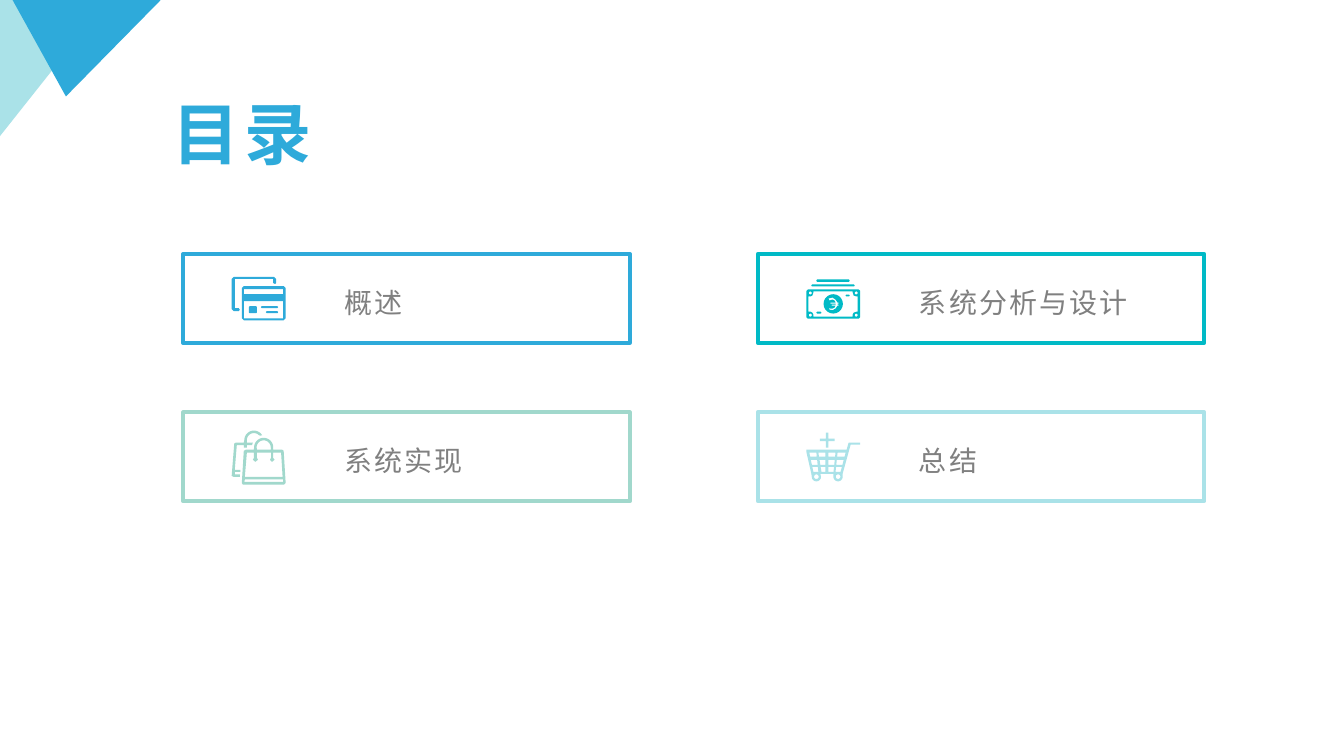
from dataclasses import dataclass
from math import cos, radians, sin

from lxml.etree import SubElement
from pptx import Presentation
from pptx.dml.color import RGBColor as Color
from pptx.enum.shapes import MSO_SHAPE as Preset
from pptx.enum.text import MSO_ANCHOR as Anchor
from pptx.oxml.ns import qn
from pptx.util import Cm, Pt

Point = tuple[float, float]
Contour = list[Point]


@dataclass(frozen=True)
class Theme:
    blue: str = "2EAADA"
    teal: str = "00BAC6"
    green: str = "A1D8CC"
    pale: str = "AAE2E8"
    grey: str = "808080"
    latin_title: str = "Arial"
    body_font: str = "Noto Sans CJK SC"
    title_size: int = 48
    label_size: int = 20
    border: int = 3


THEME = Theme()
ICON_UNIT = Cm(0.0254)
SUBDIVISION = 100  # freeform coordinates are whole numbers


@dataclass(frozen=True)
class Box:
    left: float
    top: float
    width: float
    height: float

    def lengths(self) -> tuple:
        return Cm(self.left), Cm(self.top), Cm(self.width), Cm(self.height)


@dataclass(frozen=True)
class Card:
    label: str
    color: str
    icon: list[Contour]
    icon_drop: float


@dataclass(frozen=True)
class TextStyle:
    font: str
    size: int
    color: str
    spacing: int
    bold: bool = False


def bar(left: float, top: float, right: float, bottom: float, cut: float = 0.8) -> Contour:
    """Rectangle with its corners cut a little, to look rounded."""
    return [(left + cut, top), (right - cut, top), (right, top + cut), (right, bottom - cut),
            (right - cut, bottom), (left + cut, bottom), (left, bottom - cut), (left, top + cut)]


def arc(x: float, y: float, radius: float, start: int = 0, end: int = 360) -> Contour:
    """Points on a circle, in degrees clockwise from the right."""
    steps = 20
    angles = [radians(start + (end - start) * step / steps) for step in range(steps + 1)]
    return [(x + radius * cos(angle), y + radius * sin(angle)) for angle in angles]


def basket_cells() -> list[Contour]:
    """Openings of the cart's basket, narrowing towards the bottom."""
    top, bottom = 20, 39
    columns = [((3, 10), (7, 12)), ((12, 19), (15, 19)), ((22, 29), (22, 27)), ((31, 39), (29, 34))]

    def across(upper: float, lower: float, y: float) -> Point:
        return upper + (lower - upper) * (y - top) / (bottom - top), y

    return [[across(upper[0], lower[0], start), across(upper[1], lower[1], start),
             across(upper[1], lower[1], end), across(upper[0], lower[0], end)]
            for start, end in ((20, 24), (27, 32), (34, 39)) for upper, lower in columns]


BANK_CARDS = [
    bar(10, 9, 53.5, 43, 2), bar(12, 24, 51, 41, 0), bar(12, 12, 51, 17, 0),
    bar(17, 29, 25, 36), bar(29, 29, 46, 31), bar(34, 34, 46, 36),
    [(2, 0), (42, 0), (44, 2), (44, 6), (43, 7), (41, 6), (41, 2), (3, 2), (3, 31), (7, 31),
     (8, 32.5), (7, 34), (2, 34), (0, 32), (0, 2)],
]
BANKNOTE = [
    bar(5, 5, 48, 7), bar(10, 0, 43, 2.5), bar(0, 10, 53.5, 39, 1.5),
    [(2, 32), (4, 32), (6, 33), (7, 35), (7, 37), (46, 37), (46, 35), (47, 33), (50, 32), (51, 32),
     (51, 17), (50, 17), (47, 16), (46, 13), (46, 12), (7, 12), (7, 13), (6, 16), (4, 17), (2, 17)],
    *[arc(x, y, 1.5) for x in (4, 49.5) for y in (13.5, 35.5)],
    arc(26.7, 24.3, 9.6), bar(10, 32, 15, 34), bar(39, 15, 43, 17),
    [(24, 23), (24, 24), (29, 24), (29, 25), (25, 25), (25, 26), (29, 26), (28, 28), (26, 29),
     (24, 29), (23, 28), (23, 30), (26, 30.5), (29, 29), (31, 26), (32, 26), (32, 25), (31, 25),
     (31, 24), (32, 24), (32, 23), (31, 23), (29, 20), (26, 18), (22, 19), (23, 21), (26, 20),
     (28, 21), (29, 23)],
]
SHOPPING_BAGS = [
    [(10, 52), (12, 20), (14, 19), (22, 19), *arc(31.7, 16.7, 9.5, 180, 360), (41, 19), (50, 19),
     (51.5, 20), (53.5, 52), (52, 53.5), (11, 53.5)],
    [(25, 19), *arc(31.7, 16.7, 7, 180, 360), (39, 19)],
    [(15, 22), (22, 22), (22, 27), (21, 29), (23.5, 31), (26, 29), (25, 27), (25, 22), (39, 22),
     (39, 27), (38, 29), (40, 31), (42.5, 29), (41, 27), (41, 22), (49, 22), (50.5, 46), (13, 46)],
    [(13, 48.5), (51, 48.5), (51, 51), (12.5, 51)],
    [(0, 44), (2.5, 13), (4, 12), (12, 12), *arc(22, 9.5, 9.5, 180, 330), (28, 5),
     *arc(22, 9.5, 7, 310, 180), (15, 12), (21, 12), (20, 14.5), (15, 14.5), (15, 17), (12, 17),
     (12, 14.5), (5, 14.5), (3, 39), (8.5, 39), (8.5, 41), (3, 41), (3, 43.5), (8, 43.5),
     (8, 46), (2, 46), (0, 45)],
]
CART = [
    [(19.5, 0), (22, 0), (22, 6), (28, 6), (28, 8.5), (22, 8.5), (22, 15), (19.5, 15), (19.5, 8.5),
     (13.5, 8.5), (13.5, 6), (19.5, 6)],
    [(0, 17), (40, 17), (42, 10), (53.5, 10), (53.5, 12), (44, 12), (36, 41),
     *arc(31.5, 43.8, 4.6, 0, 180), (27, 41), (14, 41), *arc(10, 43.8, 4.6, 0, 180), (5, 41), (0, 19)],
    *[arc(x, 43.8, 2.3) for x in (10, 31.5)],
    *basket_cells(),
]

CARDS = [
    Card("概述", THEME.blue, BANK_CARDS, 0.58),
    Card("系统分析与设计", THEME.teal, BANKNOTE, 0.64),
    Card("系统实现", THEME.green, SHOPPING_BAGS, 0.46),
    Card("总结", THEME.pale, CART, 0.51),
]


def apply_format(target, values: dict) -> None:
    for name, value in values.items():
        setattr(target, name, value)


def fill_plain(shape, color: str) -> None:
    shape.shadow.inherit = False
    shape.fill.solid()
    shape.fill.fore_color.rgb = Color.from_string(color)
    shape.line.fill.background()


def add_text(slide, box: Box, text: str, style: TextStyle) -> None:
    frame = slide.shapes.add_textbox(*box.lengths()).text_frame
    apply_format(frame, {"word_wrap": True, "vertical_anchor": Anchor.MIDDLE})
    paragraph = frame.paragraphs[0]
    paragraph.line_spacing = 1.2
    run = paragraph.add_run()
    run.text = text
    apply_format(run.font, {"name": style.font, "size": Pt(style.size), "bold": style.bold})
    run.font.color.rgb = Color.from_string(style.color)
    properties = run._r.get_or_add_rPr()
    properties.set("spc", str(style.spacing))
    SubElement(properties, qn("a:ea")).set("typeface", THEME.body_font)


def add_icon(slide, left: float, top: float, contours: list[Contour], color: str) -> None:
    """Draw all contours as one outline, so that inner ones become holes."""
    scaled = [[(x * SUBDIVISION, y * SUBDIVISION) for x, y in contour] for contour in contours]
    builder = slide.shapes.build_freeform(*scaled[0][0], scale=ICON_UNIT / SUBDIVISION)
    for contour in scaled:
        if contour is not scaled[0]:
            builder.move_to(*contour[0])
        builder.add_line_segments(contour[1:], close=True)
    fill_plain(builder.convert_to_shape(Cm(left), Cm(top)), color)


def add_card(slide, card: Card, left: float, top: float) -> None:
    frame = slide.shapes.add_shape(Preset.RECTANGLE, *Box(left, top, 11.25, 2.24).lengths())
    frame.shadow.inherit = False
    frame.fill.background()
    frame.line.color.rgb = Color.from_string(card.color)
    frame.line.width = Pt(THEME.border)
    add_icon(slide, left + 1.22, top + card.icon_drop, card.icon, card.color)
    add_text(slide, Box(left + 3.81, top + 0.33, 6.53, 1.6), card.label,
             TextStyle(THEME.body_font, THEME.label_size, THEME.grey, 150))


def add_corner(slide) -> None:
    pale = slide.shapes.add_shape(Preset.RIGHT_TRIANGLE, *Box(0, 0, 2.72, 3.43).lengths())
    pale.element.spPr.find(qn("a:xfrm")).set("flipH", "1")
    blue = slide.shapes.add_shape(Preset.ISOSCELES_TRIANGLE, *Box(0.3, -0.03, 3.78, 2.46).lengths())
    blue.adjustments[0] = 0.64
    for triangle, color in ((pale, THEME.pale), (blue, THEME.blue)):
        triangle.rotation = 180
        fill_plain(triangle, color)


def main() -> None:
    presentation = Presentation()
    apply_format(presentation, {"slide_width": Cm(33.87), "slide_height": Cm(19.05)})
    slide = presentation.slides.add_slide(presentation.slide_layouts[6])
    for index, card in enumerate(CARDS):
        row, column = divmod(index, 2)
        add_card(slide, card, 4.62 + column * 14.48, 6.4 + row * 3.99)
    add_corner(slide)
    add_text(slide, Box(4.11, 1.7, 6.02, 2.87), "目录",
             TextStyle(THEME.latin_title, THEME.title_size, THEME.blue, 300, bold=True))
    presentation.save("out.pptx")


if __name__ == "__main__":
    main()
